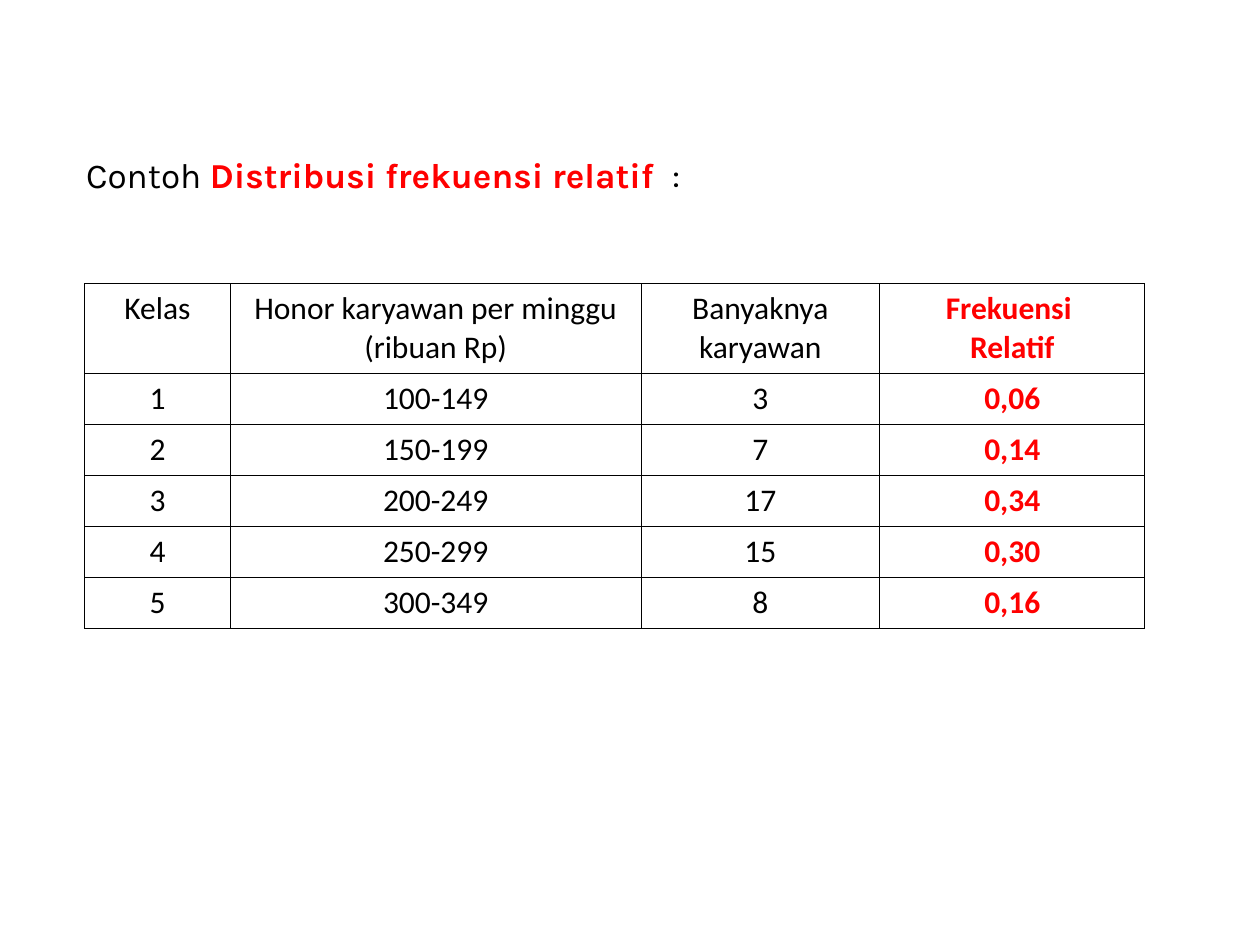
from lxml.etree import SubElement
from pptx import Presentation
from pptx.dml.color import RGBColor
from pptx.enum.text import MSO_ANCHOR, MSO_AUTO_SIZE, PP_ALIGN
from pptx.oxml.ns import qn
from pptx.util import Pt

COLORS = {"text": "000000", "accent": "FF0000", "border": "000000"}


def add_span(para, text, font="Calibri", size=18, color="text", bold=False):
    span = para.add_run()
    span.text = text
    span.font.name = font
    span.font.size = Pt(size)
    span.font.bold = bold
    span.font.color.rgb = RGBColor.from_string(COLORS[color])


def add_borders(cell, color="border", width=0.45):
    properties = cell._tc.get_or_add_tcPr()
    for side in ("lnL", "lnR", "lnT", "lnB"):
        line = SubElement(properties, qn(f"a:{side}"), w=str(Pt(width)))
        fill = SubElement(line, qn("a:solidFill"))
        SubElement(fill, qn("a:srgbClr"), val=COLORS[color])


deck = Presentation()
deck.slide_width, deck.slide_height = Pt(720), Pt(540)
page = deck.slides.add_slide(deck.slide_layouts[1])
title = page.shapes.title._element
title.getparent().remove(title)

body = page.placeholders[1]
body.left, body.top, body.width, body.height = Pt(42), Pt(84), Pt(648), Pt(356)
body.text_frame.auto_size = MSO_AUTO_SIZE.NONE
body.text_frame.vertical_anchor = MSO_ANCHOR.TOP
para = body.text_frame.paragraphs[0]
para.space_before = Pt(5)
paragraph_format = para._p.get_or_add_pPr()
paragraph_format.set("marL", str(Pt(36)))
paragraph_format.set("indent", str(Pt(-36)))
SubElement(paragraph_format, qn("a:buNone"))
add_span(para, "Contoh ", font="Karla", size=20)
add_span(para, "Distribusi frekuensi relatif  ", font="Karla", size=20, color="accent", bold=True)
add_span(para, ":", font="Karla", size=20)

rows = [
    ("Kelas", "Honor karyawan per minggu (ribuan Rp)", "Banyaknya karyawan", "Frekuensi \nRelatif"),
    ("1", "100-149", "3", "0,06"),
    ("2", "150-199", "7", "0,14"),
    ("3", "200-249", "17", "0,34"),
    ("4", "250-299", "15", "0,30"),
    ("5", "300-349", "8", "0,16"),
]
column_widths = [83.5, 234.5, 136.5, 151.5]
row_heights = [51.2] + [29.15] * 5

frame = page.shapes.add_table(
    len(rows), len(column_widths), Pt(48.25), Pt(162), Pt(sum(column_widths)), Pt(sum(row_heights))
)
table = frame.table
table.first_row = False
table.horz_banding = False
for column, width in zip(table.columns, column_widths):
    column.width = Pt(width)
for row, height in zip(table.rows, row_heights):
    row.height = Pt(height)

for row_index, values in enumerate(rows):
    for column_index, value in enumerate(values):
        cell = table.cell(row_index, column_index)
        add_borders(cell)
        cell.fill.background()
        relative = column_index == len(values) - 1
        for line_index, text in enumerate(value.split("\n")):
            para = cell.text_frame.add_paragraph() if line_index else cell.text_frame.paragraphs[0]
            para.alignment = PP_ALIGN.CENTER
            add_span(para, text, color="accent" if relative else "text", bold=relative)

deck.save("out.pptx")
